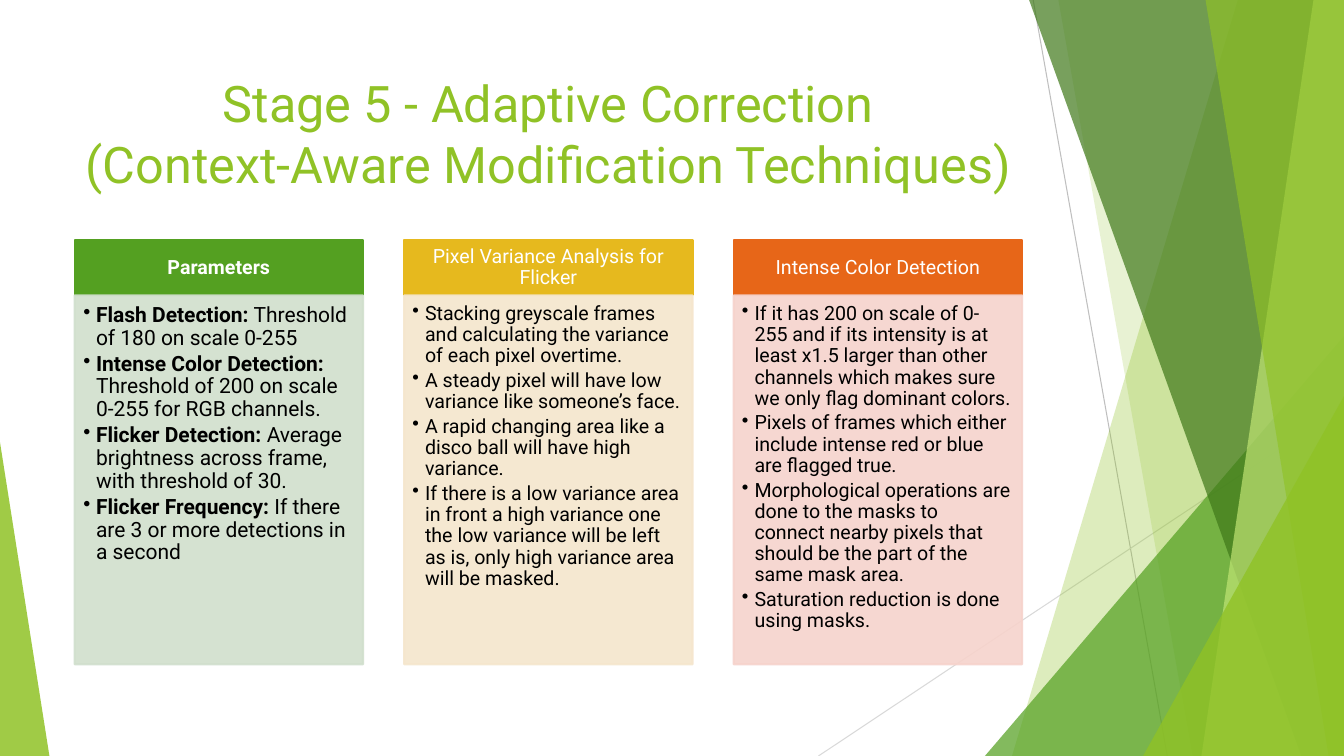
from dataclasses import dataclass

from lxml.etree import SubElement
from pptx import Presentation
from pptx.dml.color import RGBColor as RGB
from pptx.enum.shapes import MSO_CONNECTOR as Connector, MSO_SHAPE as Preset
from pptx.enum.text import MSO_ANCHOR as Anchor, PP_ALIGN as Align
from pptx.oxml.ns import qn
from pptx.util import Pt


@dataclass(frozen=True)
class Theme:
    font: str = "Roboto"
    title_size: int = 36
    heading_size: int = 14
    lime: str = "90C226"
    green: str = "54A021"
    forest: str = "3F7819"
    pale_lime: str = "C0E474"
    gold: str = "E6B91E"
    orange: str = "E76618"
    mint: str = "D1DFCD"
    cream: str = "F5E6CD"
    rose: str = "F6D3CC"
    grey: str = "BFBFBF"
    light_grey: str = "D9D9D9"
    white: str = "FFFFFF"
    black: str = "000000"


@dataclass(frozen=True)
class Box:
    left: float
    top: float
    width: float
    height: float

    def lengths(self):
        return [Pt(n) for n in (self.left, self.top, self.width, self.height)]


THEME = Theme()
SLIDE = Box(0, 0, 960, 540)
TITLE = Box(53.3, 48.2, 676.8, 103.7)
COLUMNS = Box(53.3, 171.4, 676.8, 303.1)
COLUMN_WIDTH = 206
HEADING_HEIGHT = 39.6

TOPICS = [
    dict(heading="Parameters", bold=True, size=15, strong=THEME.green, soft=THEME.mint, points=[
        ("Flash Detection:", " Threshold of 180 on scale 0-255"),
        ("Intense Color Detection:", " Threshold of 200 on scale 0-255 for RGB channels."),
        ("Flicker Detection:", " Average brightness across frame, with threshold of 30."),
        ("Flicker Frequency:", " If there are 3 or more detections in a second"),
    ]),
    dict(heading="Pixel Variance Analysis for Flicker", bold=False, size=14,
         strong=THEME.gold, soft=THEME.cream, points=[
        ("", "Stacking greyscale frames and calculating the variance of each pixel overtime."),
        ("", "A steady pixel will have low variance like someone’s face."),
        ("", "A rapid changing area like a disco ball will have high variance."),
        ("", "If there is a low variance area in front a high variance one the low variance "
             "will be left as is, only high variance area will be masked."),
    ]),
    dict(heading="Intense Color Detection", bold=False, size=14,
         strong=THEME.orange, soft=THEME.rose, points=[
        ("", "If it has 200 on scale of 0-255 and if its intensity is at least x1.5 larger "
             "than other channels which makes sure we only flag dominant colors."),
        ("", "Pixels of frames which either include intense red or blue are flagged true."),
        ("", "Morphological operations are done to the masks to connect nearby pixels that "
             "should be the part of the same mask area."),
        ("", "Saturation reduction is done using masks."),
    ]),
]


def assign(target, **values):
    for key, value in values.items():
        setattr(target, key, value)


def paint(shape, color, opacity=100, outline=0):
    shape.shadow.inherit = False
    shape.fill.solid()
    shape.fill.fore_color.rgb = RGB.from_string(color)
    if outline:
        shape.line.color.rgb = RGB.from_string(color)
        shape.line.width = Pt(outline)
    else:
        shape.line.fill.background()
    if opacity < 100:
        for tint in shape.element.spPr.iter(qn("a:srgbClr")):
            SubElement(tint, qn("a:alpha"), val=str(opacity * 1000))


def write(paragraph, words, size, color, bold=False):
    run = paragraph.add_run()
    run.text = words
    assign(run.font, name=THEME.font, size=Pt(size), bold=bold)
    run.font.color.rgb = RGB.from_string(color)


def add_ray(shapes, box, start, end, color):
    ends = [Pt(n) for x, y in (start, end) for n in (box.left + x, box.top + y)]
    ray = shapes.add_connector(Connector.STRAIGHT, *ends)
    ray.line.color.rgb = RGB.from_string(color)
    ray.line.width = Pt(0.75)
    SubElement(ray.element.spPr, qn("a:effectLst"))


def add_shard(shapes, box, top_left, bottom_left, color, opacity):
    right, bottom = box.left + box.width, box.top + box.height
    start = Pt(box.left + top_left), Pt(box.top)
    corners = [(right, box.top), (right, bottom), (box.left + bottom_left, bottom)]
    outline = shapes.build_freeform(*start)
    outline.add_line_segments([(Pt(x), Pt(y)) for x, y in corners], close=True)
    paint(outline.convert_to_shape(), color, opacity)


def add_wedge(shapes, box, left, width, height, apex, color, opacity):
    place = Box(box.left + left, box.top + box.height - height, width, height)
    wedge = shapes.add_shape(Preset.ISOSCELES_TRIANGLE, *place.lengths())
    wedge.adjustments[0] = apex
    paint(wedge, color, opacity)


def add_facets(shapes, box):
    add_ray(shapes, box, (738, 0), (833.8, box.height), THEME.grey)
    add_ray(shapes, box, (box.width, 290.2), (584.6, box.height), THEME.light_grey)
    add_shard(shapes, box, 884.2, 722.9, THEME.lime, 30)
    add_shard(shapes, box, 756, 851.8, THEME.lime, 20)
    add_wedge(shapes, box, 703.5, 256.5, 300, 1, THEME.green, 72)
    add_shard(shapes, box, 735.1, 929.5, THEME.forest, 70)
    add_shard(shapes, box, 938.2, 858.2, THEME.pale_lime, 70)
    add_shard(shapes, box, 861.1, 949, THEME.lime, 65)
    add_wedge(shapes, box, 816.5, 143.5, 257, 1, THEME.lime, 80)
    add_wedge(shapes, box, 0, 35.3, 224, 0, THEME.lime, 85)


def place_title(title, box):
    left, top, width, height = box.lengths()
    assign(title, left=left, top=top, width=width, height=height)
    frame = title.text_frame
    assign(frame, word_wrap=True, vertical_anchor=Anchor.TOP)
    frame.text = "Stage 5 - Adaptive Correction\v(Context-Aware Modification Techniques)"
    line = frame.paragraphs[0]
    line.alignment = Align.CENTER
    for run in line.runs:
        assign(run.font, name=THEME.font, size=Pt(THEME.title_size))
        run.font.color.rgb = RGB.from_string(THEME.lime)


def add_heading(shapes, box, topic):
    banner = shapes.add_shape(Preset.RECTANGLE, *box.lengths())
    paint(banner, topic["strong"], outline=1.5)
    frame = banner.text_frame
    assign(frame, word_wrap=True, vertical_anchor=Anchor.MIDDLE, margin_left=Pt(8),
           margin_right=Pt(8), margin_top=Pt(4), margin_bottom=Pt(4))
    line = frame.paragraphs[0]
    assign(line, alignment=Align.CENTER, line_spacing=0.9)
    write(line, topic["heading"], THEME.heading_size, THEME.white, topic["bold"])


def add_points(shapes, box, topic):
    panel = shapes.add_shape(Preset.RECTANGLE, *box.lengths())
    paint(panel, topic["soft"], 90, outline=1.5)
    frame, size = panel.text_frame, topic["size"]
    assign(frame, word_wrap=True, vertical_anchor=Anchor.TOP,
           margin_left=Pt(size * 0.42), margin_top=Pt(size * 0.42),
           margin_right=Pt(size * 0.57), margin_bottom=Pt(size * 0.62))
    for index, (lead, detail) in enumerate(topic["points"]):
        point = frame.add_paragraph() if index else frame.paragraphs[0]
        assign(point, alignment=Align.LEFT, level=1, line_spacing=0.9, space_after=Pt(2.5))
        layout = point._p.get_or_add_pPr()
        layout.set("marL", str(Pt(9)))
        layout.set("indent", str(-Pt(9)))
        SubElement(layout, qn("a:buChar"), char="•")
        if lead:
            write(point, lead, size, THEME.black, True)
        write(point, detail, size, THEME.black)


def add_columns(shapes, box):
    step = (box.width - COLUMN_WIDTH) / (len(TOPICS) - 1)
    for index, topic in enumerate(TOPICS):
        left = box.left + index * step
        add_heading(shapes, Box(left, box.top, COLUMN_WIDTH, HEADING_HEIGHT), topic)
        add_points(shapes, Box(left, box.top + HEADING_HEIGHT, COLUMN_WIDTH,
                               box.height - HEADING_HEIGHT), topic)


def main():
    deck = Presentation()
    assign(deck, slide_width=Pt(SLIDE.width), slide_height=Pt(SLIDE.height))
    slide = deck.slides.add_slide(deck.slide_layouts.get_by_name("Title Only"))
    add_facets(slide.shapes, SLIDE)
    title = slide.shapes.title
    slide.shapes.element.append(title.element)
    place_title(title, TITLE)
    add_columns(slide.shapes, COLUMNS)
    deck.save("out.pptx")


if __name__ == "__main__":
    main()
